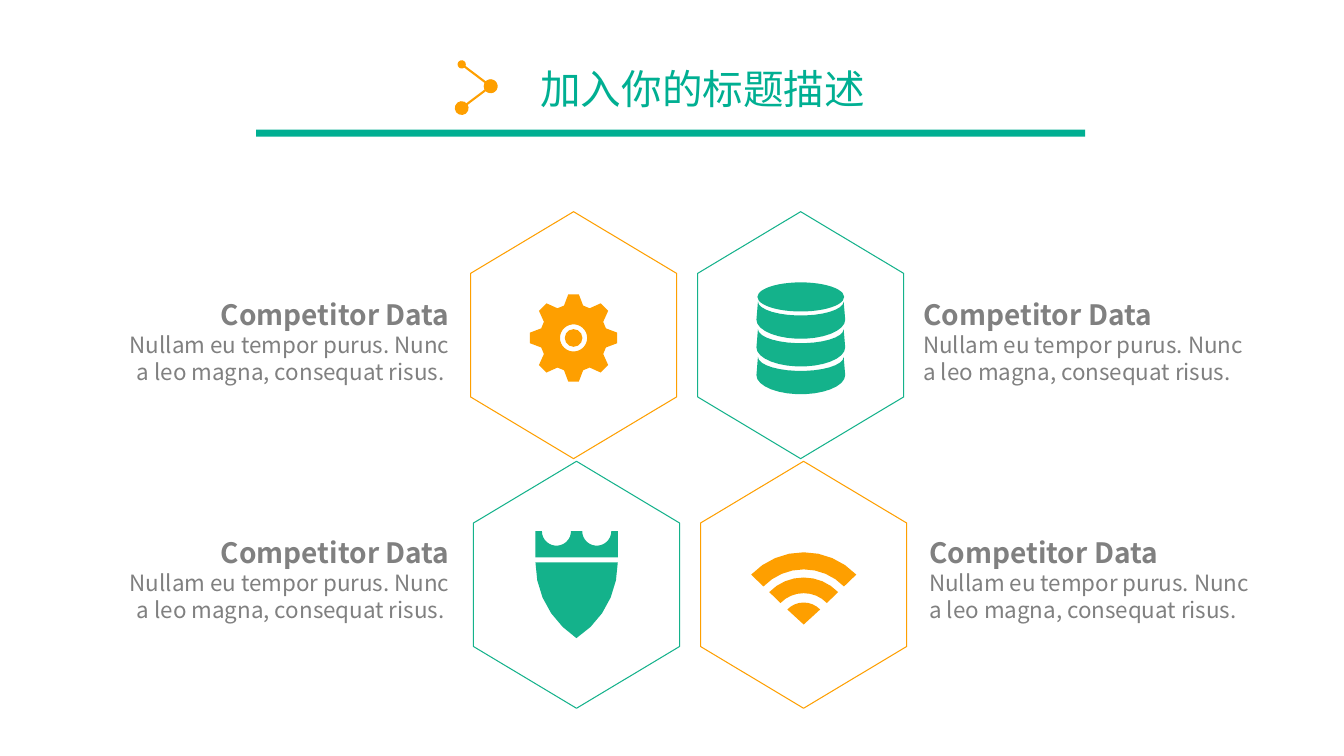
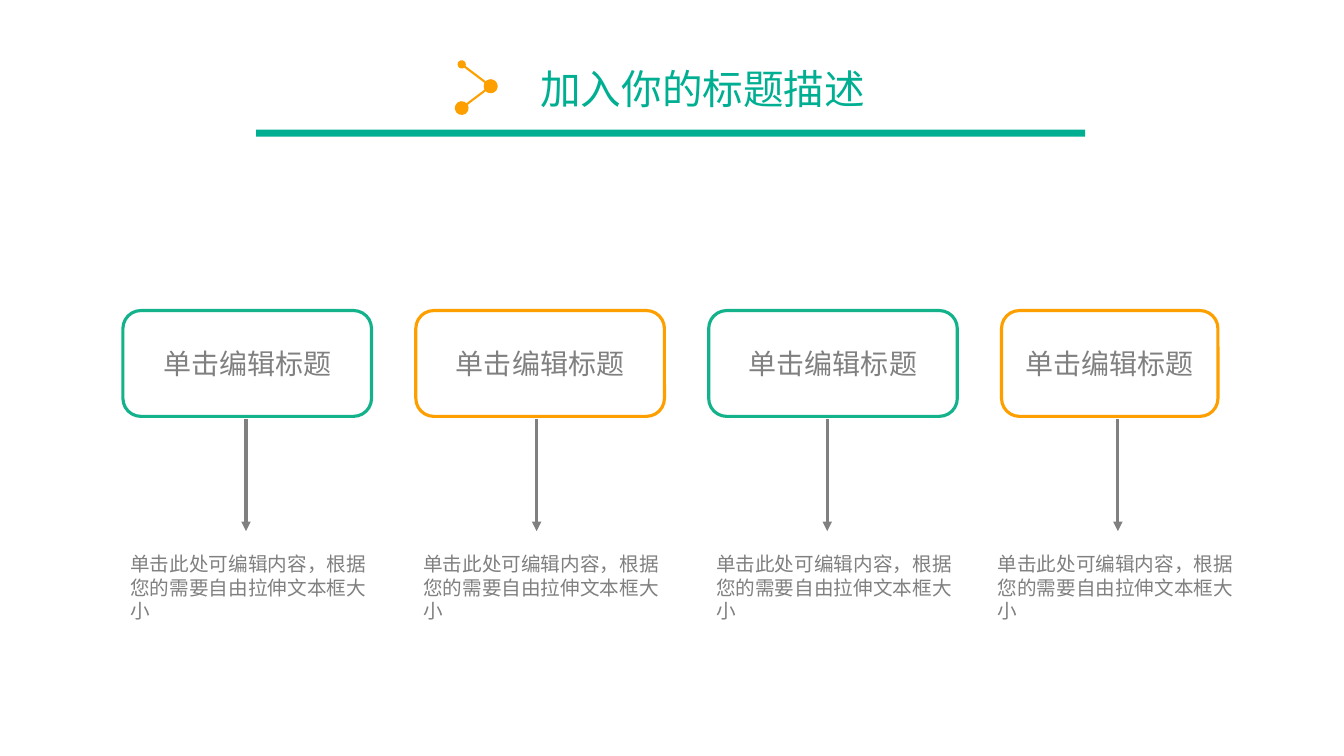
from math import cos, radians, sin

from lxml.etree import SubElement
from pptx import Presentation
from pptx.dml.color import RGBColor
from pptx.enum.shapes import MSO_CONNECTOR as Connector, MSO_SHAPE as Preset
from pptx.enum.text import MSO_ANCHOR as Anchor, MSO_AUTO_SIZE as AutoSize, PP_ALIGN as Align
from pptx.oxml.ns import qn
from pptx.util import Pt

TEAL = RGBColor(0x00, 0xAF, 0x92)
GREEN = RGBColor(0x14, 0xB2, 0x8B)
ORANGE = RGBColor(0xFE, 0x9F, 0x00)
GREY = RGBColor(0x80, 0x80, 0x80)
FONT = "Noto Sans CJK SC"
TITLE = "加入你的标题描述"
CAPTION = "Nullam eu tempor purus. Nunc a leo magna, consequat risus."


def arc(x, y, radius_x, radius_y, start, end):
    steps = max(1, round(abs(end - start) / 12))
    angles = [radians(start + (end - start) * i / steps) for i in range(steps + 1)]
    return [(x + radius_x * cos(a), y + radius_y * sin(a)) for a in angles]


class Deck:
    def __init__(self):
        self.presentation = Presentation()
        self.presentation.slide_width = Pt(960)
        self.presentation.slide_height = Pt(540)
        self.slide = None

    def add_slide(self, title):
        layout = self.presentation.slide_layouts[5]
        self.slide = self.presentation.slides.add_slide(layout)
        self.preset(Preset.RECTANGLE, 182.9, 92.7, 592.3, 5, fill=TEAL)
        self.place_title(title)
        self.line((329.8, 46), (350.5, 61.6), ORANGE, 1.5, ("oval", "med"), ("oval", "lg"))
        self.line((350.5, 61.6), (329.8, 77.2), ORANGE, 1.5, ("oval", "lg"), ("oval", "lg"))

    def place_title(self, title):
        shape = self.slide.shapes.title
        shape.left, shape.top, shape.width, shape.height = Pt(378.7), Pt(41.8), Pt(249.1), Pt(42.5)
        frame = shape.text_frame
        frame.text = title
        frame.word_wrap = False
        frame.auto_size = AutoSize.NONE
        frame.vertical_anchor = Anchor.TOP
        self.format(frame.paragraphs[0], 29, TEAL)

    def format(self, paragraph, size, color, bold=False, align=Align.LEFT):
        paragraph.alignment = align
        for run in paragraph.runs:
            run.font.size = Pt(size)
            run.font.bold = bold
            run.font.color.rgb = color
            run.font.name = FONT
            SubElement(run._r.get_or_add_rPr(), qn("a:ea"), typeface=FONT)

    def paint(self, shape, fill, outline, weight):
        shape.shadow.inherit = False
        if fill is None:
            shape.fill.background()
        else:
            shape.fill.solid()
            shape.fill.fore_color.rgb = fill
        if outline is None:
            shape.line.fill.background()
        else:
            shape.line.color.rgb = outline
            shape.line.width = Pt(weight)
        return shape

    def preset(self, kind, left, top, width, height, fill=None, outline=None, weight=0.75):
        shape = self.slide.shapes.add_shape(kind, Pt(left), Pt(top), Pt(width), Pt(height))
        return self.paint(shape, fill, outline, weight)

    def ellipse(self, x, y, radius_x, radius_y, fill):
        self.preset(Preset.OVAL, x - radius_x, y - radius_y, 2 * radius_x, 2 * radius_y, fill)

    def outline(self, *contours, fill=None, outline=None):
        builder = None
        for contour in contours:
            points = [(Pt(x), Pt(y)) for x, y in contour]
            if builder is None:
                builder = self.slide.shapes.build_freeform(*points[0])
            else:
                builder.move_to(*points[0])
            builder.add_line_segments(points[1:], close=True)
        self.paint(builder.convert_to_shape(), fill, outline, 0.75)

    def line(self, start, end, color, weight, head=None, tail=None):
        ends = [Pt(value) for value in (*start, *end)]
        connector = self.slide.shapes.add_connector(Connector.STRAIGHT, *ends)
        connector.line.color.rgb = color
        connector.line.width = Pt(weight)
        for tag, marker in (("a:headEnd", head), ("a:tailEnd", tail)):
            if marker:
                kind, size = marker
                SubElement(connector.line._get_or_add_ln(), qn(tag), type=kind, w=size, len=size)
        SubElement(connector._element.spPr, qn("a:effectLst"))

    def text_box(self, left, top, width, height, inset_x=0, inset_y=0):
        shape = self.slide.shapes.add_textbox(Pt(left), Pt(top), Pt(width), Pt(height))
        frame = shape.text_frame
        frame.word_wrap = True
        frame.margin_left = frame.margin_right = Pt(inset_x)
        frame.margin_top = frame.margin_bottom = Pt(inset_y)
        return frame

    def caption(self, left, top, align, body_text):
        frame = self.text_box(left, top, 248.4, 90.7, 3.6, 1.8)
        if align == Align.RIGHT:
            frame.margin_left = Pt(8)
        else:
            frame.margin_right = Pt(8)
        frame.text = "Competitor Data\n" + body_text
        heading, body = frame.paragraphs
        heading.line_spacing = 2.0
        self.format(heading, 20, GREY, True, align)
        self.format(body, 16, GREY, False, align)

    def hexagon(self, x, y, color):
        corners = [(0, -88.2), (73.6, -44.1), (73.6, 44.1), (0, 88.2), (-73.6, 44.1), (-73.6, -44.1)]
        self.outline([(x + dx, y + dy) for dx, dy in corners], outline=color)

    def gear(self, x, y, color):
        teeth = []
        for axis in range(0, 360, 45):
            for offset, radius in ((-16.5, 24.1), (-6.9, 31.4), (6.9, 31.4), (16.5, 24.1)):
                angle = radians(axis + offset)
                teeth.append((x + radius * cos(angle), y + radius * sin(angle)))
        self.outline(teeth, arc(x, y, 9.7, 9.7, 360, 0), fill=color)
        self.ellipse(x, y, 6.3, 6.3, color)

    def database(self, x, y, color):
        self.ellipse(x, y, 31, 10.4, color)
        for step in range(3):
            top = y + 3.3 + 19.8 * step
            rim = arc(x, top, 30.6, 10, 0, 180)
            base = arc(x, top + 13, 31.7, 13.6, 180, 0)
            self.outline(rim + base, fill=color)

    def shield(self, x, y, color):
        right = arc(x - 34.8, y + 22.4, 64.2, 64.2, 0, 57.3)
        left = arc(x + 34.8, y + 22.4, 64.2, 64.2, 122.7, 180)
        self.outline(right + left[1:], fill=color)
        notches = [point for dx in (-14.4, 14.4) for point in arc(x + dx, y, 10.4, 10.4, 180, 0)]
        corners = [(x + 29.4, y), (x + 29.4, y + 18.8), (x - 29.4, y + 18.8), (x - 29.4, y)]
        self.outline(notches + corners, fill=color)

    def wireless(self, x, y, color):
        for outer, inner in ((52.2, 40), (34.2, 23)):
            band = arc(x, y, outer, outer, 224, 316) + arc(x, y, inner, inner, 316, 224)
            self.outline(band, fill=color)
        self.outline(arc(x, y, 16.3, 16.3, 224, 316) + [(x, y - 0.6)], fill=color)

    def step_box(self, left, width, color):
        shape = self.preset(Preset.ROUNDED_RECTANGLE, left, 221.8, width, 75.6, None, color, 2.25)
        shape.adjustments[0] = 0.17
        frame = shape.text_frame
        frame.text = "单击编辑标题"
        frame.vertical_anchor = Anchor.MIDDLE
        self.format(frame.paragraphs[0], 20, GREY, align=Align.CENTER)

    def step_note(self, left):
        frame = self.text_box(left, 394.3, 172.1, 51.1)
        frame.text = "单击此处可编辑内容，根据您的需要自由拉伸文本框大小"
        self.format(frame.paragraphs[0], 14, GREY)


def build_competitors(deck):
    deck.add_slide(TITLE)
    for x, y, color in (
        (409.7, 239.4, ORANGE),
        (571.9, 239.4, GREEN),
        (411.8, 417.7, GREEN),
        (574, 417.7, ORANGE),
    ):
        deck.hexagon(x, y, color)
    deck.gear(409.7, 241.4, ORANGE)
    deck.database(572, 212.1, GREEN)
    deck.shield(411.9, 379.4, GREEN)
    deck.wireless(574.1, 446.7, ORANGE)
    for top, right_left in ((186.5, 655.9), (356.5, 660.2)):
        deck.caption(76.3, top, Align.RIGHT, CAPTION + " ")
        deck.caption(right_left, top, Align.LEFT, CAPTION)


def build_steps(deck):
    deck.add_slide(TITLE)
    widths = (177.6, 177.6, 177.6, 154.6)
    note_offsets = (5.3, 5.3, 5.3, -2.9)
    for index, (width, note_offset) in enumerate(zip(widths, note_offsets)):
        left = 87.8 + 209.2 * index
        arrow_x = 175.7 + 207.6 * index
        deck.step_box(left, width, ORANGE if index % 2 else GREEN)
        deck.line((arrow_x, 299.6), (arrow_x, 379.4), GREY, 2.25, tail=("triangle", "med"))
        deck.step_note(left + note_offset)


def main():
    deck = Deck()
    build_competitors(deck)
    build_steps(deck)
    deck.presentation.save("out.pptx")


if __name__ == "__main__":
    main()
